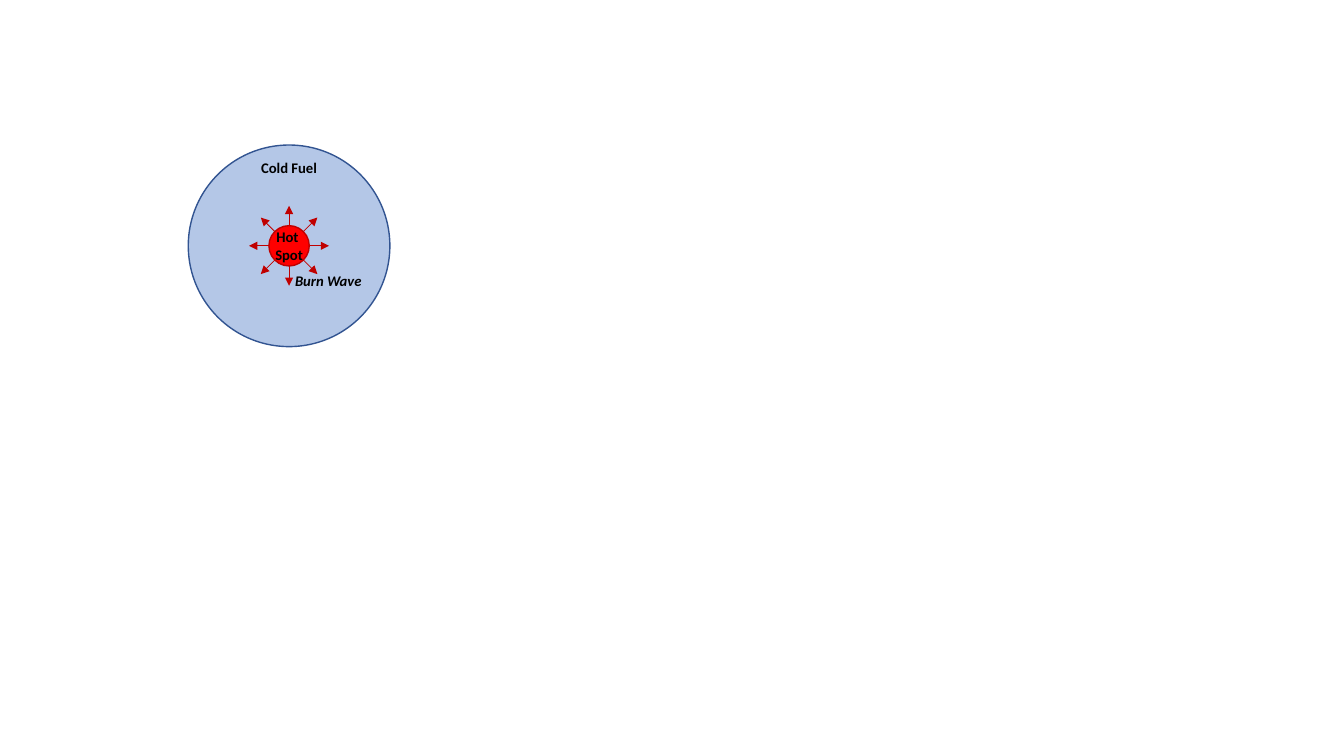
"""Build a slide showing a burn wave spreading from a hot spot into cold fuel."""
from math import cos, pi, sin

from lxml import etree
from pptx import Presentation
from pptx.dml.color import RGBColor
from pptx.enum.shapes import MSO_CONNECTOR, MSO_SHAPE
from pptx.enum.text import MSO_AUTO_SIZE, PP_ALIGN
from pptx.oxml.ns import qn
from pptx.util import Pt

OVAL = MSO_SHAPE.OVAL
STRAIGHT = MSO_CONNECTOR.STRAIGHT
CENTER = PP_ALIGN.CENTER
FIT_SHAPE = MSO_AUTO_SIZE.SHAPE_TO_FIT_TEXT

FUEL_BLUE = RGBColor(0xB4, 0xC7, 0xE7)
FUEL_EDGE = RGBColor(0x32, 0x54, 0x91)
HOT_RED = RGBColor(0xFF, 0x00, 0x00)
DARK_RED = RGBColor(0xC0, 0x00, 0x00)
BLACK = RGBColor(0x00, 0x00, 0x00)

CENTER_X, CENTER_Y = 206.5, 175.6
FUEL_RADIUS = 72
HOT_RADIUS = 14.4
WAVE_RADIUS = 28.6
WAVE_COUNT = 8
LABEL_WIDTH = 81.4


def add_disc(page, radius, fill, edge):
    """Add a circle around the common centre."""
    disc = page.shapes.add_shape(
        OVAL, Pt(CENTER_X - radius), Pt(CENTER_Y - radius),
        Pt(2 * radius), Pt(2 * radius))
    disc.shadow.inherit = False
    disc.fill.solid()
    disc.fill.fore_color.rgb = fill
    disc.line.color.rgb = edge
    disc.line.width = Pt(1)


def add_wave_arrow(page, angle):
    """Add an arrow pointing outwards from the hot spot."""
    start, end = [
        (Pt(CENTER_X + radius * cos(angle)), Pt(CENTER_Y + radius * sin(angle)))
        for radius in (HOT_RADIUS, WAVE_RADIUS)]
    arrow = page.shapes.add_connector(STRAIGHT, *start, *end)
    arrow.line.color.rgb = DARK_RED
    arrow.line.width = Pt(0.5)
    etree.SubElement(arrow.line._get_or_add_ln(), qn("a:tailEnd"), type="triangle")
    etree.SubElement(arrow._element.spPr, qn("a:effectLst"))


def add_label(page, lines, middle, top, height, italic=False):
    """Add a bold label centred on a horizontal position."""
    box = page.shapes.add_textbox(
        Pt(middle - LABEL_WIDTH / 2), Pt(top), Pt(LABEL_WIDTH), Pt(height))
    frame = box.text_frame
    frame.word_wrap = True
    frame.auto_size = FIT_SHAPE
    frame.text = "\n".join(lines)
    for para in frame.paragraphs:
        para.alignment = CENTER
        para.font.name = "Calibri"
        para.font.size = Pt(10.5)
        para.font.bold = True
        para.font.italic = italic
        para.font.color.rgb = BLACK


def main():
    """Build the slide and save the deck."""
    deck = Presentation()
    deck.slide_width, deck.slide_height = Pt(960), Pt(540)
    page = deck.slides.add_slide(deck.slide_layouts[6])
    add_disc(page, FUEL_RADIUS, FUEL_BLUE, FUEL_EDGE)
    add_disc(page, HOT_RADIUS, HOT_RED, DARK_RED)
    for step in range(WAVE_COUNT):
        add_wave_arrow(page, 2 * pi * step / WAVE_COUNT)
    add_label(page, ["Hot ", "Spot"], CENTER_X, 159.1, 32.4)
    add_label(page, ["Cold Fuel"], CENTER_X, 110.2, 20)
    add_label(page, ["Burn Wave"], CENTER_X + 28, 190.8, 20, italic=True)
    deck.save("out.pptx")


main()
